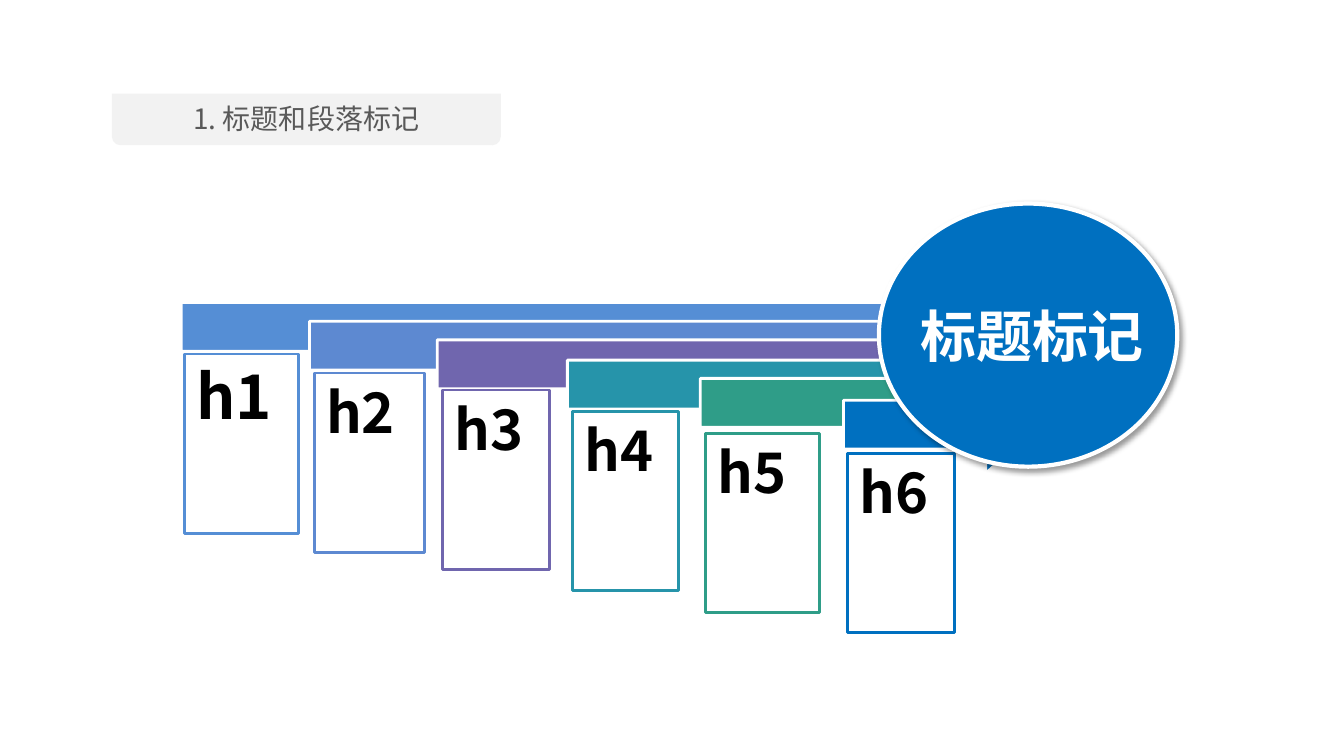
from lxml.etree import SubElement
from pptx import Presentation
from pptx.dml.color import RGBColor
from pptx.enum.shapes import MSO_SHAPE
from pptx.enum.text import MSO_ANCHOR, PP_ALIGN
from pptx.oxml.ns import qn
from pptx.util import Cm, Pt

FONT = "Noto Sans CJK SC"
WHITE, BLUE = "FFFFFF", "0070C0"
SECTION = "1. 标题和段落标记"
TOPIC = "标题标记"
# label, size, colour, arrow (left, top, neck, tip), card (left, top, width)
HEADINGS = [
    ("h1", 44, "558ED5", (4.57, 7.01, 22.63, 24.03), (4.65, 8.92, 2.87)),
    ("h2", 40, "5D89D1", (7.80, 7.48, 23.01, 24.49), (7.92, 9.40, 2.79)),
    ("h3", 40, "7066AE", (11.02, 7.95, 23.29, 24.89), (11.15, 9.83, 2.69)),
    ("h4", 40, "2694AA", (14.30, 8.46, 23.52, 25.30), (14.43, 10.36, 2.67)),
    ("h5", 40, "2F9D88", (17.65, 8.92, 23.44, 25.68), (17.78, 10.92, 2.87)),
    ("h6", 40, BLUE, (21.26, 9.47, 24.84, 26.21), (21.36, 11.43, 2.69)),
]
ARROW_HEIGHT, CARD_HEIGHT, CARD_INSET = 2.46, 4.52, 0.3


def color(value):
    return RGBColor.from_string(value)


def paint(shape, fill, line=None, width=2):
    shape.shadow.inherit = False
    shape.fill.solid()
    shape.fill.fore_color.rgb = color(fill)
    if line:
        shape.line.color.rgb = color(line)
        shape.line.width = Pt(width)
    else:
        shape.line.fill.background()


def write(shape, text, size, value, bold=False, align=PP_ALIGN.LEFT):
    shape.text_frame.text = text
    paragraph = shape.text_frame.paragraphs[0]
    paragraph.alignment = align
    run = paragraph.runs[0]
    run.font.size = Pt(size)
    run.font.bold = bold
    run.font.color.rgb = color(value)
    run.font.name = FONT
    SubElement(run.font._element, qn("a:ea"), typeface=FONT)
    return paragraph


def add_shadow(effects):
    shadow = SubElement(effects, qn("a:outerShdw"), blurRad=str(Pt(4)), dist=str(Pt(3)),
                        dir="2700000", algn="tl", rotWithShape="0")
    black = SubElement(shadow, qn("a:srgbClr"), val="000000")
    SubElement(black, qn("a:alpha"), val="40000")


def add_shape(slide, kind, left, top, width, height):
    return slide.shapes.add_shape(kind, Cm(left), Cm(top), Cm(width), Cm(height))


def add_text(slide, left, top, width, height):
    return slide.shapes.add_textbox(Cm(left), Cm(top), Cm(width), Cm(height))


def add_arrow(slide, left, top, neck, tip, fill):
    upper, middle, lower, bottom = (top + ARROW_HEIGHT * part / 4 for part in (1, 2, 3, 4))
    points = [(neck, upper), (neck, top), (tip, middle), (neck, bottom),
              (neck, lower), (left, lower)]
    builder = slide.shapes.build_freeform(Cm(left), Cm(upper))
    builder.add_line_segments([(Cm(x), Cm(y)) for x, y in points], close=True)
    paint(builder.convert_to_shape(), fill, WHITE)


def add_card(slide, left, top, width, label, size, line):
    card = add_shape(slide, MSO_SHAPE.RECTANGLE, left, top, width, CARD_HEIGHT)
    paint(card, WHITE, line)
    frame = card.text_frame
    frame.margin_left = frame.margin_right = Cm(CARD_INSET)
    frame.margin_top = frame.margin_bottom = Cm(CARD_INSET)
    frame.vertical_anchor = MSO_ANCHOR.TOP
    write(card, label, size, "000000", True).line_spacing = 0.9


def main():
    presentation = Presentation()
    presentation.slide_width, presentation.slide_height = Cm(33.87), Cm(19.05)
    slide = presentation.slides.add_slide(presentation.slide_layouts[6])

    tab = add_shape(slide, MSO_SHAPE.ROUND_2_SAME_RECTANGLE, 2.82, 2.36, 9.8, 1.3)
    tab.rotation = 180
    paint(tab, "F2F2F2")
    section = add_text(slide, 2.82, 2.44, 9.8, 1.12)
    section.text_frame.word_wrap = True
    write(section, SECTION, 20, "595959", align=PP_ALIGN.CENTER)

    for label, size, value, arrow, card in HEADINGS:
        add_arrow(slide, *arrow, value)
        add_card(slide, *card, label, size, value)

    circle = add_shape(slide, MSO_SHAPE.OVAL, 22.15, 5.13, 7.52, 6.63)
    paint(circle, BLUE, WHITE, 3)
    add_shadow(circle._element.spPr.find(qn("a:effectLst")))
    topic = add_text(slide, 22.94, 7.47, 6.22, 1.96)
    topic.text_frame.word_wrap = False
    font = write(topic, TOPIC, 40, WHITE, True).runs[0].font
    effects = SubElement(font._element, qn("a:effectLst"))
    font._element.find(qn("a:solidFill")).addnext(effects)
    add_shadow(effects)

    presentation.save("out.pptx")


if __name__ == "__main__":
    main()
